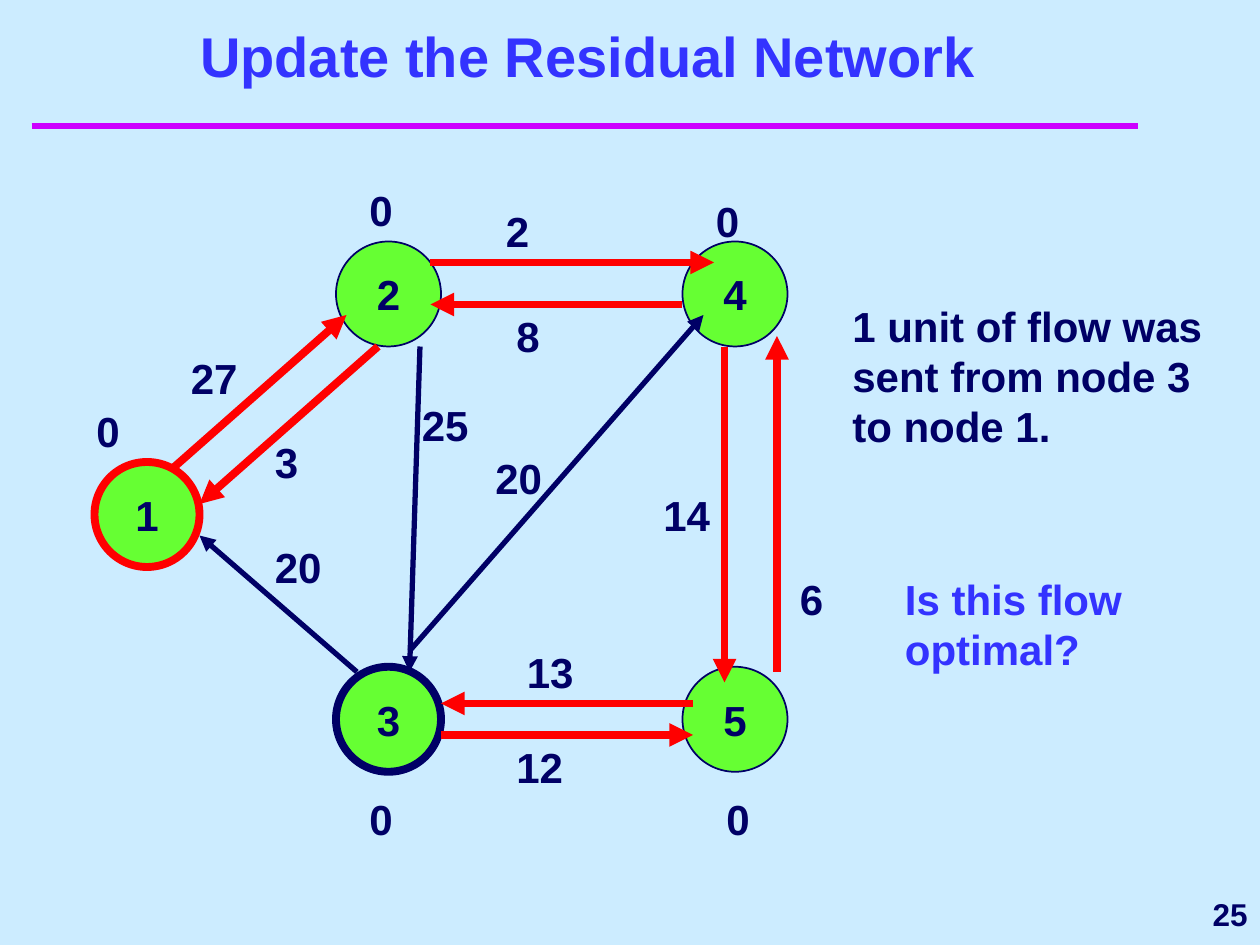
import pptx
import pptx.util
import pptx.dml.color
import pptx.enum.shapes
import pptx.enum.text
import lxml.etree
from pptx.oxml.ns import qn

ALIGN = pptx.enum.text.PP_ALIGN
ANCHOR = pptx.enum.text.MSO_ANCHOR

THEME = {
    "font": "Arial",
    "background": "CCECFF", "rule": "CC00FF", "accent": "3333FF",
    "ink": "000066", "node": "66FF33", "path": "FF0000",
    "title": 32, "body": 24, "number": 18,
    "thin": 1, "medium": 3, "rule_width": 4, "thick": 4.5,
}

# The slide is a grid of 120 columns by 90 rows, twelve to the inch.
COLS, ROWS = 120, 90
WIDTH, HEIGHT = pptx.util.Inches(10), pptx.util.Inches(7.5)
NODE_SIZE, LABEL_W, LABEL_H = 10, 14, 6

# name, column, row, outline colour, outline width
NODES = [
    ("2", 32, 23, "ink", "thin"),
    ("3", 32, 63.5, "ink", "thick"),
    ("5", 65, 63.5, "ink", "thin"),
    ("4", 65, 23, "ink", "thin"),
    ("1", 9, 44, "path", "thick"),
]
# start, end, whether the arc changed, residual capacity, label position
ARCS = [
    ((16, 45), (33, 30), True, "27", (17, 33)),
    ((36, 33), (19, 48), True, "3", (25, 41)),
    ((41, 25), (68, 25), True, "2", (47, 19)),
    ((65, 29), (41, 29), True, "8", (48, 29)),
    ((69, 33), (69, 65), True, "14", (62, 46)),
    ((74, 64), (74, 32), True, "6", (75, 54)),
    ((66, 67), (42, 67), True, "13", (49, 61)),
    ((42, 70), (66, 70), True, "12", (48, 70)),
    ((39, 62), (67, 30), False, "20", (46, 42.5)),
    ((40, 33), (39, 64), False, "25", (39, 37.5)),
    ((34, 64), (19, 51), False, "20", (25, 51)),
]
BALANCES = [(8, 38), (34, 17), (67, 18), (34, 75), (68, 75)]
TEXTS = [
    ("Update the Residual Network", (5, 4, 102, 5),
     {"size": "title", "color": "accent", "align": ALIGN.CENTER, "anchor": ANCHOR.BOTTOM}),
    ("1 unit of flow was sent from node 3 to node 1.", (80, 28, 36, 15.6), {}),
    ("Is this flow optimal?", (85, 54, 27, 10.8), {"color": "accent"}),
    ("25", (97, 84, 23, 6),
     {"size": "number", "align": ALIGN.RIGHT, "anchor": ANCHOR.MIDDLE}),
]


def rgb(name):
    return pptx.dml.color.RGBColor.from_string(THEME[name])


def place(*grid):
    """Turn alternating columns and rows into slide lengths."""
    return [round(v * (HEIGHT / ROWS if i % 2 else WIDTH / COLS))
            for i, v in enumerate(grid)]


def write(sp, text, size="body", color="ink", align=ALIGN.LEFT, anchor=ANCHOR.TOP, wrap=True):
    tf = sp.text_frame
    tf.word_wrap = wrap
    tf.vertical_anchor = anchor
    p = tf.paragraphs[0]
    p.alignment = align
    r = p.add_run()
    r.text = text
    r.font.name = THEME["font"]
    r.font.size = pptx.util.Pt(THEME[size])
    r.font.bold = True
    r.font.color.rgb = rgb(color)


def add_text(s, text, box, **fmt):
    write(s.shapes.add_textbox(*place(*box)), text, **fmt)


def add_line(s, start, end, color, width, arrow=False):
    sp = s.shapes.add_connector(pptx.enum.shapes.MSO_CONNECTOR.STRAIGHT, *place(*start, *end))
    sp.line.color.rgb = rgb(color)
    sp.line.width = pptx.util.Pt(THEME[width])
    if arrow:
        lxml.etree.SubElement(sp.line._get_or_add_ln(), qn("a:tailEnd"), type="triangle")
    lxml.etree.SubElement(sp._element.spPr, qn("a:effectLst"))


def add_node(s, name, col, row, color, width):
    sp = s.shapes.add_shape(pptx.enum.shapes.MSO_SHAPE.OVAL,
                            *place(col, row, NODE_SIZE, NODE_SIZE))
    sp.shadow.inherit = False
    sp.fill.solid()
    sp.fill.fore_color.rgb = rgb("node")
    sp.line.color.rgb = rgb(color)
    sp.line.width = pptx.util.Pt(THEME[width])
    write(sp, name, align=ALIGN.CENTER, anchor=ANCHOR.MIDDLE, wrap=False)


def main():
    prs = pptx.Presentation()
    prs.slide_width, prs.slide_height = WIDTH, HEIGHT
    s = prs.slides.add_slide(prs.slide_layouts[6])
    s.background.fill.solid()
    s.background.fill.fore_color.rgb = rgb("background")

    add_line(s, (3, 12), (108.4, 12), "rule", "rule_width")
    *inner, source = NODES
    for node in inner:
        add_node(s, *node)
    for start, end, changed, _, _ in ARCS:
        color, width = ("path", "thick") if changed else ("ink", "medium")
        add_line(s, start, end, color, width, arrow=True)
    add_node(s, *source)  # covers the tail of its outgoing arc

    labels = [(text, at) for *_, text, at in ARCS] + [("0", at) for at in BALANCES]
    for text, at in labels:
        add_text(s, text, (*at, LABEL_W, LABEL_H))
    for text, box, fmt in TEXTS:
        add_text(s, text, box, **fmt)
    prs.save("out.pptx")


if __name__ == "__main__":
    main()
